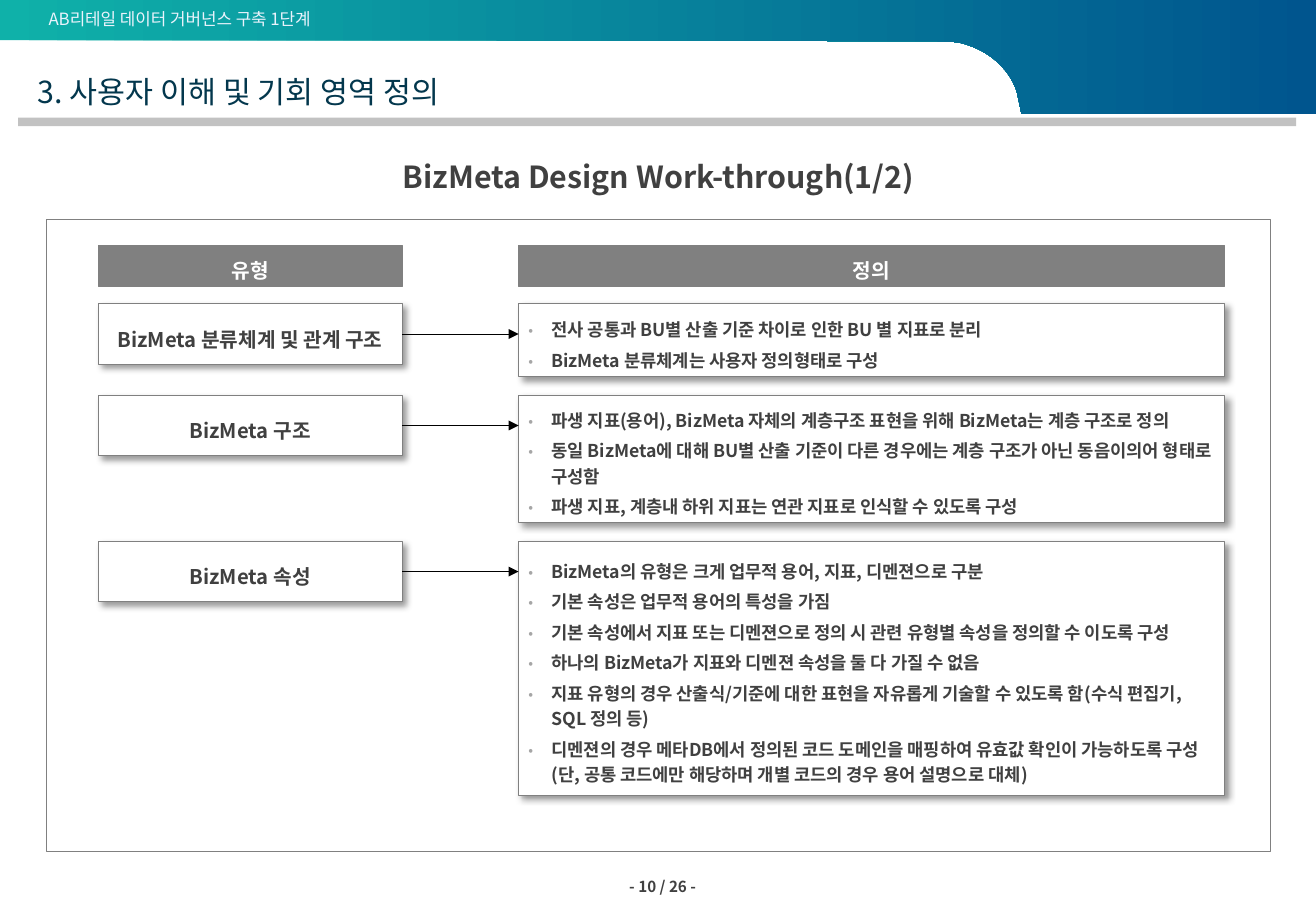
from lxml import etree
from pptx import Presentation
from pptx.dml.color import RGBColor
from pptx.enum import shapes as kinds, text as styles
from pptx.oxml import ns
from pptx.util import Pt

PROJECT = "AB리테일 데이터 거버넌스 구축 1단계"
TITLE = "3. 사용자 이해 및 기회 영역 정의"
TOPIC = "BizMeta Design Work-through(1/2)"
PAGE = "- 10 / 26 -"
HEADS = ("유형", "정의")
# type, height of its definition box, definitions
ROWS = [
    ("BizMeta 분류체계 및 관계 구조", 43.2, [
        "전사 공통과 BU별 산출 기준 차이로 인한 BU 별 지표로 분리",
        "BizMeta 분류체계는 사용자 정의형태로 구성"]),
    ("BizMeta 구조", 75.6, [
        "파생 지표(용어), BizMeta 자체의 계층구조 표현을 위해 BizMeta는 계층 구조로 정의",
        "동일 BizMeta에 대해 BU별 산출 기준이 다른 경우에는 계층 구조가 아닌 동음이의어 형태로 구성함",
        "파생 지표, 계층내 하위 지표는 연관 지표로 인식할 수 있도록 구성"]),
    ("BizMeta 속성", 150.5, [
        "BizMeta의 유형은 크게 업무적 용어, 지표, 디멘젼으로 구분",
        "기본 속성은 업무적 용어의 특성을 가짐",
        "기본 속성에서 지표 또는 디멘젼으로 정의 시 관련 유형별 속성을 정의할 수 이도록 구성",
        "하나의 BizMeta가 지표와 디멘젼 속성을 둘 다 가질 수 없음",
        "지표 유형의 경우 산출식/기준에 대한 표현을 자유롭게 기술할 수 있도록 함(수식 편집기, SQL 정의 등)",
        "디멘젼의 경우 메타DB에서 정의된 코드 도메인을 매핑하여 유효값 확인이 가능하도록 구성"
        "(단, 공통 코드에만 해당하며 개별 코드의 경우 용어 설명으로 대체)"]),
]

FONT = "Noto Sans CJK KR"
WHITE = RGBColor(0xFF, 0xFF, 0xFF)
BLACK = RGBColor(0, 0, 0)
DARK = RGBColor(0x40, 0x40, 0x40)
GREY = RGBColor(0x80, 0x80, 0x80)
SILVER = RGBColor(0xC2, 0xC2, 0xC2)
NAVY = RGBColor(0x03, 0x37, 0x4D)
PALE = RGBColor(0xEA, 0xF3, 0xFC)
TEAL = RGBColor(0x0F, 0xB1, 0xA9)
BLUE = RGBColor(0x00, 0x55, 0x8E)
LEFT, MID, RIGHT = styles.PP_ALIGN.LEFT, styles.PP_ALIGN.CENTER, styles.PP_ALIGN.RIGHT
TOP, CENTER = styles.MSO_ANCHOR.TOP, styles.MSO_ANCHOR.MIDDLE

WIDTH, HEIGHT = 780, 540
TYPE_X, TYPE_W, TYPE_H = 58.3, 180, 36
DEF_X, DEF_W = 307.4, 418.3
HEAD_Y, HEAD_H = 145.4, 24.5
ROW_Y, GAP = 180, 11
INDENT = 13.7

deck = Presentation()
deck.slide_width, deck.slide_height = Pt(WIDTH), Pt(HEIGHT)
slide = deck.slides.add_slide(deck.slide_layouts[5])


def add(parent, tag, **attrs):
    return etree.SubElement(parent, ns.qn(tag), {k: str(v) for k, v in attrs.items()})


def write(shape, lines, size=12, color=DARK, bold=True, align=MID, anchor=CENTER,
          pad=(5.8, 2.9), lead=None, before=0, bullet=False, wrap=True):
    """Fill a shape with one paragraph per line."""
    frame = shape.text_frame
    frame.word_wrap = wrap
    frame.auto_size = styles.MSO_AUTO_SIZE.NONE
    frame.vertical_anchor = anchor
    frame.margin_left = frame.margin_right = Pt(pad[0])
    frame.margin_top, frame.margin_bottom = Pt(pad[1] + before), Pt(pad[1])
    for i, line in enumerate(lines):
        para = frame.paragraphs[0] if i == 0 else frame.add_paragraph()
        para.alignment = align
        para.space_before = Pt(before if i else 0)
        if lead:
            para.line_spacing = lead
        if bullet:
            props = para._p.get_or_add_pPr()
            props.set("marL", str(Pt(INDENT)))
            props.set("indent", str(-Pt(INDENT)))
            add(add(props, "a:buClr"), "a:srgbClr", val="A6A6A6")
            add(props, "a:buSzPct", val=80000)
            add(props, "a:buFont", typeface=FONT)
            add(props, "a:buChar", char="•")
        run = para.add_run()
        run.text = line
        font = run.font
        font.size, font.bold, font.name = Pt(size), bold, FONT
        font.color.rgb = color
        add(run._r.get_or_add_rPr(), "a:ea", typeface=FONT)


def label(x, y, w, h, line, **look):
    write(slide.shapes.add_textbox(Pt(x), Pt(y), Pt(w), Pt(h)), [line], **look)


def box(x, y, w, h, fill=None, line=GREY, weight=0.5, shade=False):
    shape = slide.shapes.add_shape(kinds.MSO_SHAPE.RECTANGLE, Pt(x), Pt(y), Pt(w), Pt(h))
    shape.shadow.inherit = False
    if fill is None:
        shape.fill.background()
    else:
        shape.fill.solid()
        shape.fill.fore_color.rgb = fill
    if line is None:
        shape.line.fill.background()
    else:
        shape.line.color.rgb = line
        shape.line.width = Pt(weight)
    if shade:
        effects = shape._element.spPr.find(ns.qn("a:effectLst"))
        outer = add(effects, "a:outerShdw", blurRad=Pt(4), dist=Pt(3),
                    dir=45 * 60000, algn="tl", rotWithShape=0)
        add(add(outer, "a:srgbClr", val="000000"), "a:alpha", val=40000)
    return shape


def arrow(x1, x2, y):
    line = slide.shapes.add_connector(
        kinds.MSO_CONNECTOR.STRAIGHT, Pt(x1), Pt(y), Pt(x2), Pt(y))
    line.line.color.rgb = BLACK
    line.line.width = Pt(0.5)
    add(line.line._get_or_add_ln(), "a:tailEnd", type="triangle")
    add(line._element.spPr, "a:effectLst")


def curve(a, b, c, d, steps=16):
    """Points along a cubic curve from a to d, without a itself."""
    for i in range(1, steps + 1):
        t = i / steps
        s = 1 - t
        yield tuple(s**3 * p + 3 * s * s * t * q + 3 * s * t * t * r + t**3 * e
                    for p, q, r, e in zip(a, b, c, d))


def banner():
    bend = (602.6, 54)
    edge = [(WIDTH, 0), (WIDTH, 67.7), (605.5, 67.7), bend,
            *curve(bend, (597.6, 39.6), (584.6, 28.8), (568.1, 25.2)),
            (560.9, 24.5), (249, 23.8), (0, 23.8)]
    path = slide.shapes.build_freeform(0, 0, scale=1.0)
    path.add_line_segments([(Pt(x), Pt(y)) for x, y in edge], close=True)
    shape = path.convert_to_shape()
    shape.shadow.inherit = False
    shape.line.fill.background()
    shape.fill.gradient()
    shape.fill.gradient_angle = 0
    for stop, color in zip(shape.fill.gradient_stops, (TEAL, BLUE)):
        stop.color.rgb = color


def main():
    banner()
    label(28.8, 5, 232, 12.2, PROJECT, size=10, color=PALE, bold=False,
          align=LEFT, pad=(0, 0))
    label(360, 517, 58.3, 16.6, PAGE, size=9, align=RIGHT, wrap=False)
    box(10.8, 69.8, 757.4, 5, fill=SILVER, line=None)

    title = slide.shapes.title
    title.left, title.top, title.width, title.height = Pt(22.3), Pt(43.2), Pt(514.8), Pt(21.6)
    write(title, [TITLE], size=18, color=NAVY, bold=False, align=LEFT,
          anchor=TOP, pad=(0, 0))
    label(27.4, 90.7, 725.8, 27.4, TOPIC, size=18)
    box(27.4, 130.3, 725.8, 374.4, weight=0.75)

    for head, x, w in zip(HEADS, (TYPE_X, DEF_X), (TYPE_W, DEF_W)):
        write(box(x, HEAD_Y, w, HEAD_H, fill=GREY), [head], color=WHITE,
              lead=1.2, before=3)

    y = ROW_Y
    for name, height, notes in ROWS:
        write(box(TYPE_X, y, TYPE_W, TYPE_H, fill=WHITE, shade=True), [name],
              lead=1.2, before=3)
        write(box(DEF_X, y, DEF_W, height, fill=WHITE, shade=True), notes,
              size=10.5, align=LEFT, lead=1.2, before=3, bullet=True)
        arrow(TYPE_X + TYPE_W, DEF_X, y + TYPE_H / 2)
        y += height + GAP

    deck.save("out.pptx")


if __name__ == "__main__":
    main()
